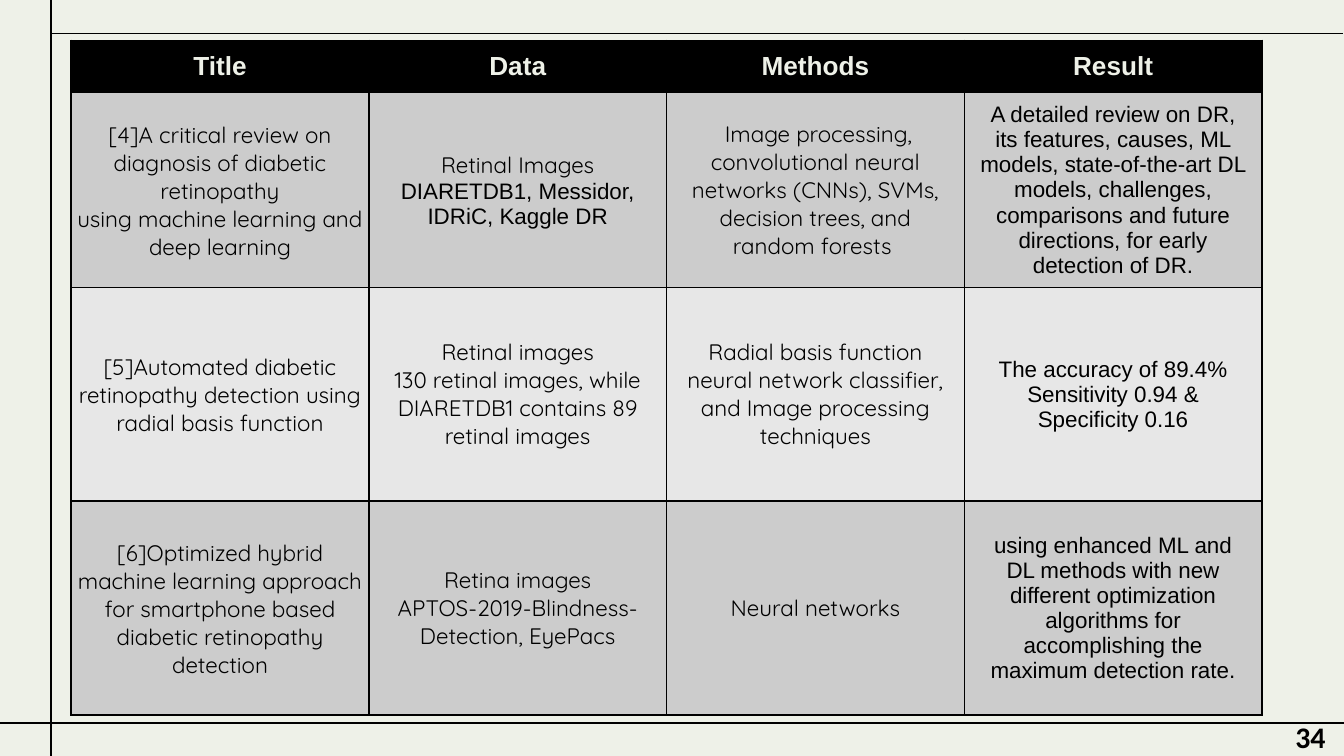
"""Build a literature review table slide on detecting diabetic retinopathy."""
import dataclasses

import lxml.etree
import pptx
import pptx.dml.color
import pptx.enum.shapes
import pptx.enum.text
import pptx.oxml.ns
import pptx.util

Inches = pptx.util.Inches
Pt = pptx.util.Pt
qn = pptx.oxml.ns.qn


@dataclasses.dataclass(frozen=True)
class Theme:
    background: str = "EEF1E8"
    ink: str = "000000"
    bands: tuple = ("CCCCCC", "E7E7E7")
    heading_font: str = "Arial"
    body_font: str = "Quicksand"
    number_font: str = "Calibri"
    heading_size: int = 14
    body_size: int = 12
    number_size: int = 16
    frame_width: float = 0.75
    border_width: float = 1


THEME = Theme()
SLIDE_WIDTH = 10
SLIDE_HEIGHT = SLIDE_WIDTH * 9 / 16
FRAME_LINES = [
    (0.38, 0.25, 9.99, 0.25),
    (0.38, 0, 0.38, SLIDE_HEIGHT),
    (0, 5.38, SLIDE_WIDTH, 5.38),
]
TABLE_LEFT, TABLE_TOP, TABLE_WIDTH = 0.53, 0.3, 8.86
ROW_HEIGHTS = [0.39, 1.45, 1.59, 1.59]
HEADINGS = ["Title", "Data", "Methods", "Result"]
DATA_SETS = "DIARETDB1, Messidor, IDRiC, Kaggle DR"
STUDIES = [
    [
        ["[4]A critical review on diagnosis of diabetic retinopathy",
         "using machine learning and deep learning"],
        ["Retinal Images", DATA_SETS],
        [" Image processing, convolutional neural networks (CNNs), SVMs,",
         "decision trees, and", "random forests "],
        ["A detailed review on DR, its features, causes, ML models, "
         "state-of-the-art DL models, challenges, comparisons and future "
         "directions, for early detection of DR."],
    ],
    [
        ["[5]Automated diabetic retinopathy detection using radial basis function"],
        ["Retinal images",
         "130 retinal images, while DIARETDB1 contains 89 retinal images"],
        ["Radial basis function neural network classifier, "
         "and Image processing techniques"],
        ["The accuracy of 89.4% Sensitivity 0.94 & Specificity 0.16"],
    ],
    [
        ["[6]Optimized hybrid machine learning approach for smartphone based "
         "diabetic retinopathy detection"],
        ["Retina images", "APTOS-2019-Blindness-Detection, EyePacs"],
        ["Neural networks"],
        ["using enhanced ML and DL methods with new different optimization "
         "algorithms for accomplishing the maximum detection rate."],
    ],
]


def color(value):
    return pptx.dml.color.RGBColor.from_string(value)


def set_attributes(target, values):
    for name, value in values.items():
        setattr(target, name, value)


def write_paragraph(paragraph, text, font, size, ink, bold):
    paragraph.text = text
    set_attributes(paragraph.runs[0].font, {"name": font, "size": Pt(size), "bold": bold})
    paragraph.runs[0].font.color.rgb = color(ink)


def add_frame_line(slide, ends):
    line = slide.shapes.add_connector(
        pptx.enum.shapes.MSO_CONNECTOR.STRAIGHT, *map(Inches, ends))
    line.line.width = Pt(THEME.frame_width)
    line.line.color.rgb = color(THEME.ink)
    lxml.etree.SubElement(line._element.spPr, qn("a:effectLst"))


def add_borders(cell):
    properties = cell._tc.get_or_add_tcPr()
    for index, side in enumerate(("lnL", "lnR", "lnT", "lnB")):
        border = properties.makeelement(
            qn(f"a:{side}"), {"w": str(Pt(THEME.border_width))})
        fill = lxml.etree.SubElement(border, qn("a:solidFill"))
        lxml.etree.SubElement(fill, qn("a:srgbClr"), val=THEME.ink)
        properties.insert(index, border)


def fill_cell(cell, background, lines, fonts, size, ink, bold):
    cell.vertical_anchor = pptx.enum.text.MSO_ANCHOR.MIDDLE
    cell.fill.solid()
    cell.fill.fore_color.rgb = color(background)
    add_borders(cell)
    frame = cell.text_frame
    for index, (text, font) in enumerate(zip(lines, fonts)):
        paragraph = frame.add_paragraph() if index else frame.paragraphs[0]
        paragraph.alignment = pptx.enum.text.PP_ALIGN.CENTER
        write_paragraph(paragraph, text, font, size, ink, bold)


def fill_study_row(table, row, study):
    background = THEME.bands[(row - 1) % len(THEME.bands)]
    for column, lines in enumerate(study):
        cell = table.cell(row, column)
        fonts = [
            THEME.heading_font if column == len(HEADINGS) - 1 or text == DATA_SETS
            else THEME.body_font
            for text in lines
        ]
        fill_cell(cell, background, lines, fonts, THEME.body_size, THEME.ink, False)
        if column == 0:
            set_attributes(cell, {
                "margin_left": Inches(0.01), "margin_right": Inches(0.01),
                "margin_top": Inches(0.01), "margin_bottom": 0})


def add_study_table(slide):
    table = slide.shapes.add_table(
        len(ROW_HEIGHTS), len(HEADINGS), Inches(TABLE_LEFT), Inches(TABLE_TOP),
        Inches(TABLE_WIDTH), Inches(sum(ROW_HEIGHTS))).table
    set_attributes(table, {"first_row": False, "horz_banding": False})
    for row, height in zip(table.rows, ROW_HEIGHTS):
        row.height = Inches(height)
    for column, heading in enumerate(HEADINGS):
        fill_cell(table.cell(0, column), THEME.ink, [heading], [THEME.heading_font],
                  THEME.heading_size, THEME.background, True)
    for row, study in enumerate(STUDIES, start=1):
        fill_study_row(table, row, study)


def add_page_number(slide, number):
    box = slide.shapes.add_textbox(Inches(9.54), Inches(5.3), Inches(0.46), Inches(0.37))
    set_attributes(box.text_frame, {
        "word_wrap": True,
        "auto_size": pptx.enum.text.MSO_AUTO_SIZE.SHAPE_TO_FIT_TEXT})
    write_paragraph(box.text_frame.paragraphs[0], number, THEME.number_font,
                    THEME.number_size, THEME.ink, True)


def main():
    presentation = pptx.Presentation()
    set_attributes(presentation, {
        "slide_width": Inches(SLIDE_WIDTH), "slide_height": Inches(SLIDE_HEIGHT)})
    slide = presentation.slides.add_slide(presentation.slide_layouts[6])
    slide.background.fill.solid()
    slide.background.fill.fore_color.rgb = color(THEME.background)
    for ends in FRAME_LINES:
        add_frame_line(slide, ends)
    add_study_table(slide)
    add_page_number(slide, "34")
    presentation.save("out.pptx")


if __name__ == "__main__":
    main()
